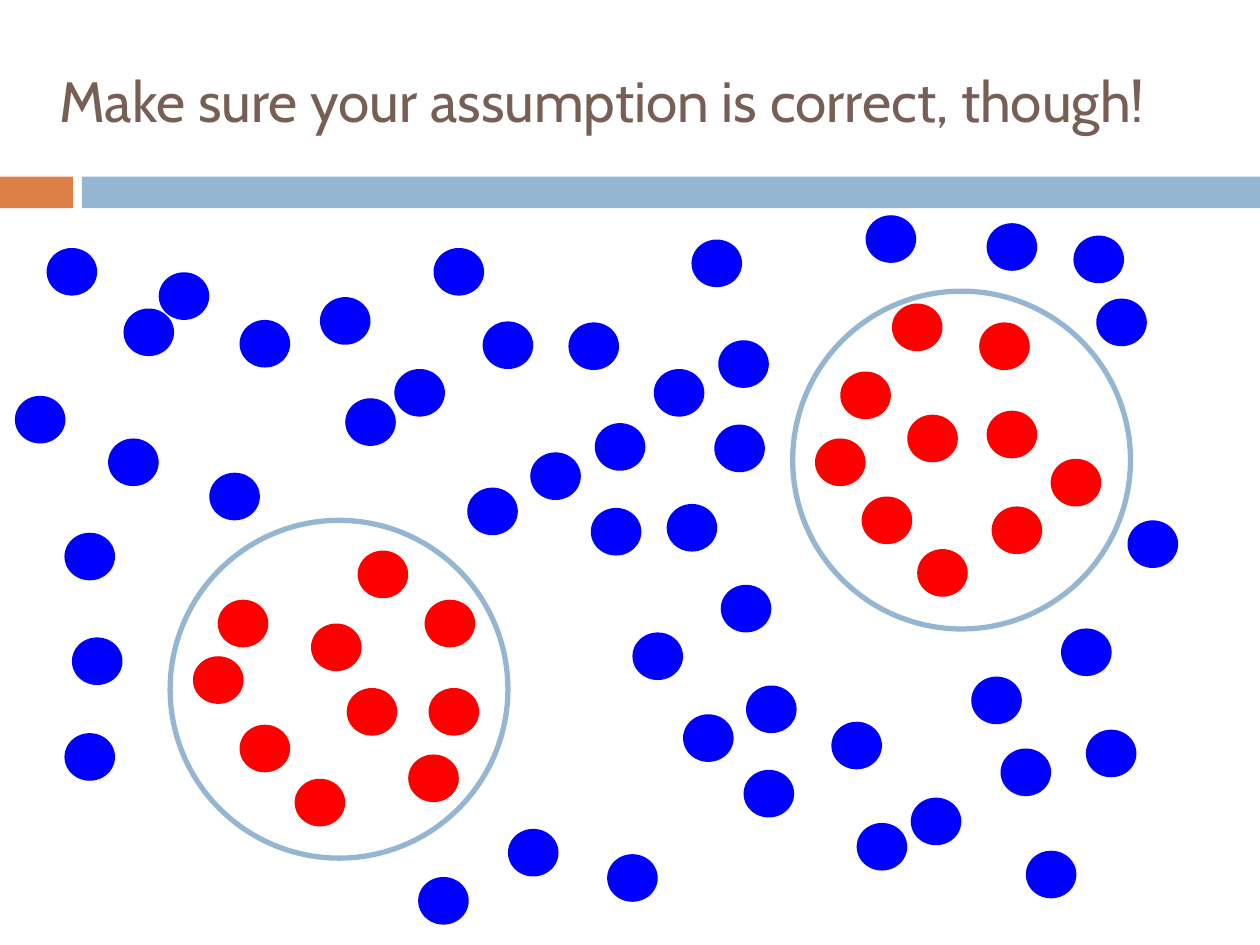
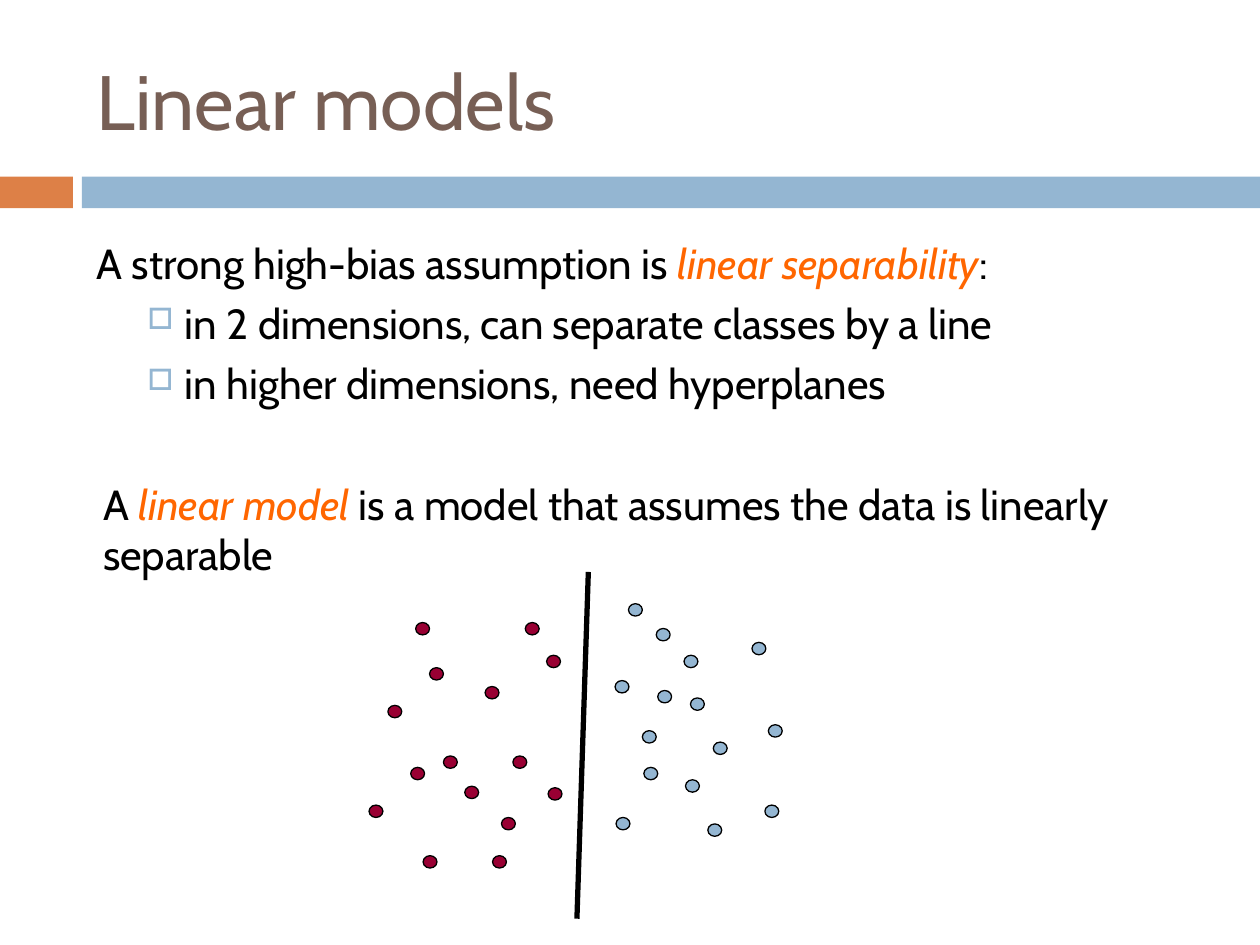
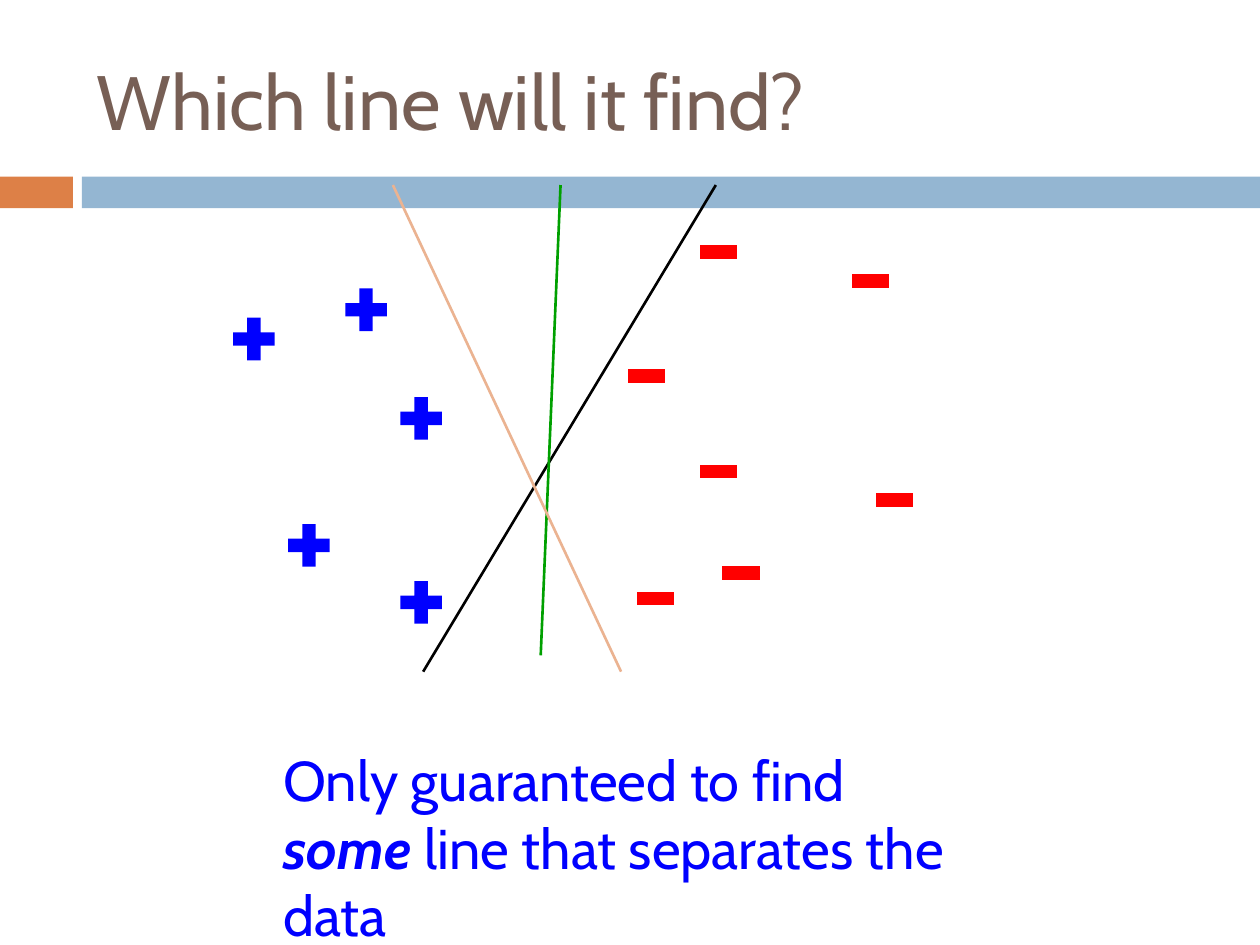
from dataclasses import dataclass

from lxml.etree import SubElement
from pptx import Presentation
from pptx.dml.color import RGBColor
from pptx.enum.shapes import MSO_CONNECTOR, MSO_SHAPE as Preset
from pptx.enum.text import MSO_ANCHOR, MSO_AUTO_SIZE, PP_ALIGN
from pptx.oxml.ns import qn
from pptx.util import Cm, Pt


@dataclass(frozen=True)
class Theme:
    font: str = "Cabin"
    brown: str = "775F55"
    orange: str = "DD8047"
    steel: str = "94B6D2"
    black: str = "000000"
    red: str = "FF0000"
    blue: str = "0000FF"
    crimson: str = "990033"
    green: str = "00A000"
    peach: str = "EBB391"
    term: str = "FF6600"
    title_size: float = 44
    long_title_size: float = 32.4
    body_size: float = 24
    note_size: float = 32


THEME = Theme()
TITLE_ONLY = 5
TITLE_BOX = (1.7, 0.64, 22.66, 2.74)
WIDE_TITLE_BOX = (0.94, 0.64, 24.46, 2.74)
BANDS = [((0, 3.56, 1.47, 0.64), THEME.orange),
         ((1.65, 3.56, 23.75, 0.64), THEME.steel)]

# Left and top corners in centimetres
RING_SIZE = (6.81, 6.81)
RINGS = [(3.43, 10.49), (15.98, 5.87)]
LARGE_DOT = (1.02, 0.96)
INSIDE_DOTS = [
    (4.39, 12.09), (4.83, 14.61), (6.27, 12.57), (6.99, 13.87), (7.21, 11.1),
    (8.64, 13.87), (5.94, 15.7), (8.56, 12.09), (8.23, 15.21), (3.89, 13.23),
    (16.94, 7.49), (17.37, 10.01), (18.29, 8.36), (19.89, 8.28), (19.74, 6.5),
    (21.18, 9.25), (18.49, 11.07), (19.99, 10.21), (17.98, 6.12), (16.43, 8.84),
]
OUTSIDE_DOTS = [
    (8.43, 17.68), (10.24, 16.71), (19.58, 13.64), (21.39, 12.67), (21.89, 14.71),
    (14.99, 15.52), (16.76, 14.55), (17.27, 16.59), (12.75, 12.75), (14.53, 11.79),
    (15.04, 13.82), (12.24, 17.22), (13.77, 14.4), (1.3, 14.78), (1.45, 12.85),
    (1.3, 10.74), (18.36, 16.08), (20.17, 15.09), (20.68, 17.15), (11.91, 10.24),
    (11.46, 6.5), (11.99, 8.53), (10.69, 9.12), (14.4, 8.56), (13.94, 4.83),
    (14.48, 6.86), (13.18, 7.44), (13.44, 10.16), (9.42, 9.83), (4.22, 9.53),
    (2.49, 6.22), (2.18, 8.84), (0.3, 7.98), (0.94, 5), (17.45, 4.34),
    (21.64, 4.75), (19.89, 4.5), (22.73, 10.49), (22.1, 6.02), (8.74, 5),
    (7.95, 7.44), (9.73, 6.48), (6.45, 5.99), (6.96, 8.03), (4.83, 6.45),
    (3.2, 5.49),
]
SMALL_DOT = (0.28, 0.25)
LEFT_CLASS = [
    (8.38, 12.55), (8.66, 13.46), (8.94, 15.24), (10.59, 12.55), (7.82, 14.22),
    (9.78, 13.84), (11.02, 13.21), (10.34, 15.24), (8.28, 15.47), (8.53, 17.25),
    (7.44, 16.23), (9.37, 15.85), (9.93, 17.25), (11.05, 15.88), (10.11, 16.48),
]
RIGHT_CLASS = [
    (12.4, 13.72), (12.67, 12.17), (12.95, 14.73), (13.23, 12.67), (15.16, 12.95),
    (13.79, 13.21), (12.98, 15.47), (13.26, 13.92), (12.42, 16.48), (13.92, 14.07),
    (15.49, 14.61), (14.38, 14.96), (13.82, 15.72), (15.42, 16.23), (14.27, 16.61),
]
PLUS_SIZE = (1.14, 1.17)
PLUSES = [(6.81, 5.66), (7.92, 7.85), (7.92, 11.56), (4.55, 6.25), (5.66, 10.41)]
MINUS_SIZE = (1.02, 1.17)
MINUSES = [(13.97, 4.5), (17.53, 9.5), (17.04, 5.08), (13.97, 8.92),
           (14.43, 10.97), (12.52, 6.99), (12.7, 11.48)]
CANDIDATE_LINES = [((8.53, 13.54), (14.43, 3.73), THEME.black),
                   ((10.9, 13.21), (11.3, 3.73), THEME.green),
                   ((12.52, 13.54), (7.92, 3.73), THEME.peach)]


def rgb(colour):
    return RGBColor.from_string(colour)


def add_figure(slide, preset, box, fill=None, outline=None, outline_width=0.75):
    shape = slide.shapes.add_shape(preset, *map(Cm, box))
    shape.shadow.inherit = False
    if fill:
        shape.fill.solid()
        shape.fill.fore_color.rgb = rgb(fill)
    else:
        shape.fill.background()
    if outline:
        shape.line.color.rgb = rgb(outline)
        shape.line.width = Pt(outline_width)
    else:
        shape.line.fill.background()
    return shape


def scatter(slide, preset, corners, size, **style):
    """Draw one equal figure at each corner."""
    for corner in corners:
        add_figure(slide, preset, (*corner, *size), **style)


def add_line(slide, start, end, colour, width):
    line = slide.shapes.add_connector(MSO_CONNECTOR.STRAIGHT, *map(Cm, start + end))
    line.line.color.rgb = rgb(colour)
    line.line.width = Pt(width)
    SubElement(line.element.spPr, qn("a:effectLst"))


def format_font(font, size, colour):
    font.name = THEME.font
    font.size = Pt(size)
    font.color.rgb = rgb(colour)


def add_bands(slide):
    """Draw the bands and move them to the layout, so that all slides share them."""
    layout_tree = slide.slide_layout.shapes.element
    for number, (box, colour) in enumerate(BANDS):
        band = add_figure(slide, Preset.RECTANGLE, box, fill=colour)
        band.element.nvSpPr.cNvPr.set("id", str(100 + number))
        layout_tree.insert(2 + number, band.element)


def add_titled_slide(presentation, text, box=TITLE_BOX, size=THEME.title_size):
    slide = presentation.slides.add_slide(presentation.slide_layouts[TITLE_ONLY])
    title = slide.shapes.title
    title.left, title.top, title.width, title.height = map(Cm, box)
    frame = title.text_frame
    frame.text = text
    frame.vertical_anchor = MSO_ANCHOR.MIDDLE
    frame.auto_size = MSO_AUTO_SIZE.NONE
    paragraph = frame.paragraphs[0]
    paragraph.alignment = PP_ALIGN.LEFT
    format_font(paragraph.font, size, THEME.brown)
    return slide


def add_text_frame(slide, box):
    frame = slide.shapes.add_textbox(*map(Cm, box)).text_frame
    frame.word_wrap = True
    return frame


def add_runs(paragraph, *texts):
    """Add the texts as runs and return them."""
    runs = []
    for text in texts:
        run = paragraph.add_run()
        run.text = text
        runs.append(run)
    return runs


def emphasise(run, colour=None, bold=None):
    run.font.italic = True
    run.font.bold = bold
    if colour:
        run.font.color.rgb = rgb(colour)


def indent(paragraph, margin, hanging=0.0):
    properties = paragraph._p.get_or_add_pPr()
    properties.set("marL", str(Cm(margin)))
    properties.set("indent", str(-Cm(hanging)))
    return properties


def add_bullet(paragraph):
    properties = indent(paragraph, 1.78, 0.76)
    colour = SubElement(properties, qn("a:buClr"))
    SubElement(colour, qn("a:srgbClr"), val=THEME.steel)
    SubElement(properties, qn("a:buSzPct"), val="70000")
    SubElement(properties, qn("a:buChar"), char="□")


def build_assumption_slide(presentation):
    slide = add_titled_slide(presentation, "Make sure your assumption is correct, though!",
                             WIDE_TITLE_BOX, THEME.long_title_size)
    add_bands(slide)
    scatter(slide, Preset.OVAL, INSIDE_DOTS, LARGE_DOT, fill=THEME.red)
    scatter(slide, Preset.OVAL, RINGS, RING_SIZE, outline=THEME.steel, outline_width=3)
    scatter(slide, Preset.OVAL, OUTSIDE_DOTS, LARGE_DOT, fill=THEME.blue)


def build_linear_models_slide(presentation):
    slide = add_titled_slide(presentation, "Linear models")
    frame = add_text_frame(slide, (1.7, 4.67, 21.59, 4.45))

    assumption = frame.paragraphs[0]
    _, term, _ = add_runs(assumption, "A strong high-bias assumption is ",
                          "linear separability", ":")
    emphasise(term, THEME.term)

    for text in ("in 2 dimensions, can separate classes by a line",
                 "in higher dimensions, need hyperplanes"):
        item = frame.add_paragraph()
        item.text = text
        item.space_before = Pt(5.5)
        add_bullet(item)

    definition = frame.add_paragraph()
    definition.space_before = Pt(40)
    indent(definition, 0.13)
    _, term, _ = add_runs(definition, "A ", "linear model ",
                          "is a model that assumes the data is linearly separable")
    emphasise(term, THEME.term)

    for paragraph in frame.paragraphs:
        format_font(paragraph.font, THEME.body_size, THEME.black)

    for corners, colour in ((LEFT_CLASS, THEME.crimson), (RIGHT_CLASS, THEME.steel)):
        scatter(slide, Preset.OVAL, corners, SMALL_DOT, fill=colour, outline=THEME.black)
    add_line(slide, (11.86, 11.53), (11.63, 18.52), THEME.black, 3)


def build_which_line_slide(presentation):
    slide = add_titled_slide(presentation, "Which line will it find?")
    scatter(slide, Preset.MATH_PLUS, PLUSES, PLUS_SIZE, fill=THEME.blue)
    scatter(slide, Preset.MATH_MINUS, MINUSES, MINUS_SIZE, fill=THEME.red)
    for start, end, colour in CANDIDATE_LINES:
        add_line(slide, start, end, colour, 1.5)

    frame = add_text_frame(slide, (5.46, 14.91, 14.5, 3))
    frame.auto_size = MSO_AUTO_SIZE.SHAPE_TO_FIT_TEXT
    note = frame.paragraphs[0]
    _, some, _ = add_runs(note, "Only guaranteed to find ", "some",
                          " line that separates the data")
    emphasise(some, bold=True)
    format_font(note.font, THEME.note_size, THEME.blue)


def main():
    presentation = Presentation()
    presentation.slide_width, presentation.slide_height = Cm(25.4), Cm(19.05)
    build_assumption_slide(presentation)
    build_linear_models_slide(presentation)
    build_which_line_slide(presentation)
    presentation.save("out.pptx")


if __name__ == "__main__":
    main()
